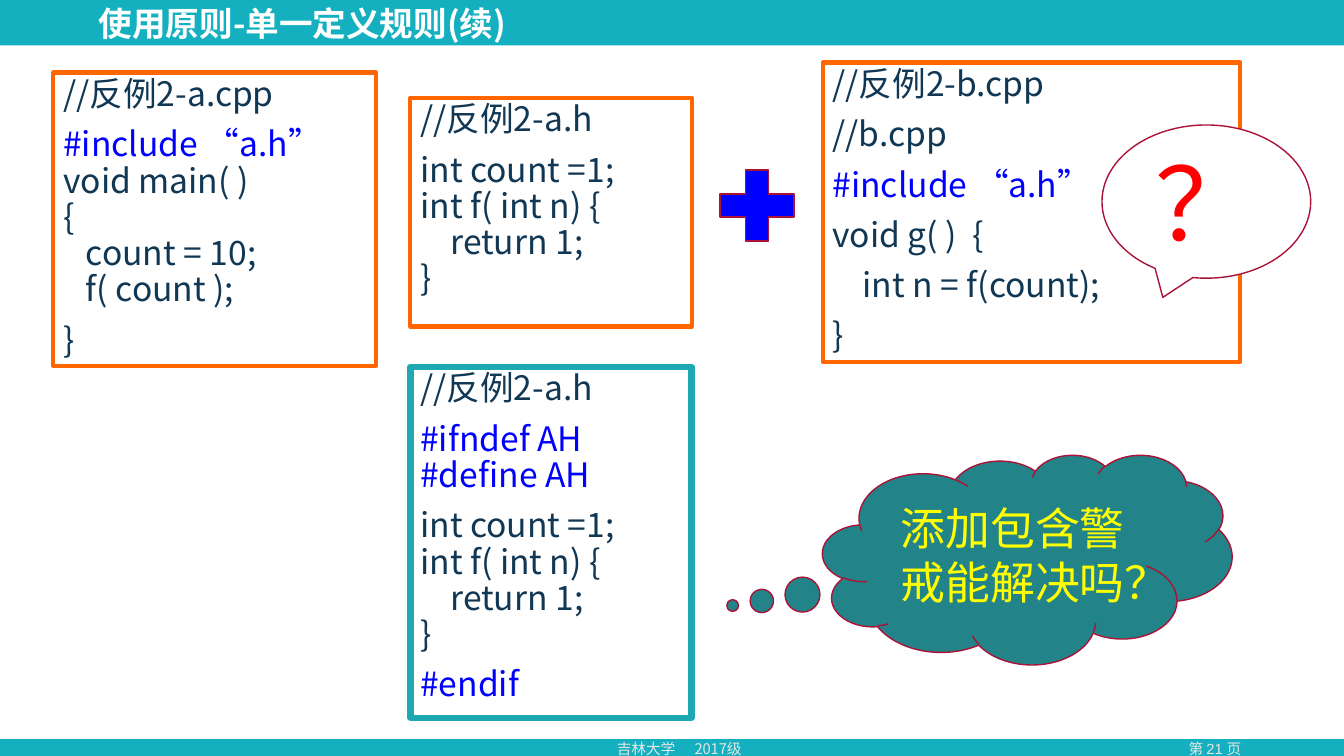
"""Build the slide on the one-definition rule with its counter-example code boxes."""
from lxml.etree import SubElement
from pptx import Presentation
from pptx.dml.color import RGBColor
from pptx.enum.shapes import MSO_SHAPE as Shape
from pptx.enum.text import MSO_ANCHOR as Anchor, PP_ALIGN as Align
from pptx.oxml.ns import qn
from pptx.util import Inches, Pt

TEAL = RGBColor(0x14, 0xB0, 0xC0)
WHITE = RGBColor(0xFF, 0xFF, 0xFF)
PALE = RGBColor(0xE7, 0xE6, 0xE6)
NAVY = RGBColor(0x10, 0x37, 0x54)
BLUE = RGBColor(0x00, 0x00, 0xFF)
ORANGE = RGBColor(0xFF, 0x66, 0x00)
FRAME_TEAL = RGBColor(0x1D, 0xA8, 0xB2)
CLOUD_TEAL = RGBColor(0x22, 0x83, 0x89)
CRIMSON = RGBColor(0xAA, 0x13, 0x37)
RED = RGBColor(0xFF, 0x00, 0x00)
YELLOW = RGBColor(0xFF, 0xFF, 0x00)
CJK_FONT = "Noto Sans CJK SC"

presentation = Presentation()
presentation.slide_width = Inches(13.33)
presentation.slide_height = Inches(7.5)
slide = presentation.slides.add_slide(presentation.slide_layouts[6])


def add_box(kind, place, fill=None, line=None, width=1):
    """Add a preset shape with an optional fill and outline."""
    shape = slide.shapes.add_shape(kind, *map(Inches, place))
    shape.shadow.inherit = False
    if fill is None:
        shape.fill.background()
    else:
        shape.fill.solid()
        shape.fill.fore_color.rgb = fill
    if line is None:
        shape.line.fill.background()
    else:
        shape.line.color.rgb = line
        shape.line.width = Pt(width)
    return shape


def add_text(paragraph, text, size, color, name=CJK_FONT, bold=False):
    """Add a run set in one font for Latin and East Asian text."""
    run = paragraph.add_run()
    run.text = text
    formats = {"size": Pt(size), "name": name, "bold": bold}
    for attribute, value in formats.items():
        setattr(run.font, attribute, value)
    run.font.color.rgb = color
    SubElement(run.font._element, qn("a:ea")).set("typeface", CJK_FONT)


add_box(Shape.RECTANGLE, (0, 0, 13.33, 7.5), TEAL)
add_box(Shape.RECTANGLE, (0, 0.45, 13.33, 6.88), WHITE)

LABELS = [
    ((11.32, 7.29, 1.46, 0.27), "第 21 页", 10.5, PALE, "Arial", False, Align.CENTER),
    ((6.02, 7.29, 1.84, 0.28), "吉林大学\t2017级", 10.5, PALE, CJK_FONT, False, Align.LEFT),
    ((0.88, 0.03, 7.68, 0.39), "使用原则-单一定义规则(续)", 24, WHITE, CJK_FONT, True, Align.LEFT),
]
for place, text, size, color, name, bold, align in LABELS:
    frame = slide.shapes.add_textbox(*map(Inches, place)).text_frame
    frame.word_wrap = True
    frame.vertical_anchor = Anchor.MIDDLE if bold else Anchor.TOP
    paragraph = frame.paragraphs[0]
    paragraph.alignment = align
    if "\t" in text:
        tabs = SubElement(paragraph._p.get_or_add_pPr(), qn("a:tabLst"))
        SubElement(tabs, qn("a:tab"), pos=str(Inches(0.77)), algn="l")
    add_text(paragraph, text, size, color, name, bold)

HEADER_CODE = "int count =1;\nint f( int n) {\n    return 1;\n}"
CODE_BOXES = [
    ((8.16, 0.62, 4.14, 2.97), ORANGE, 3,
     ["//反例2-b.cpp", "//b.cpp", "#include “a.h”", "void g( )  {",
      "    int n = f(count);", "}"]),
    ((0.53, 0.72, 3.2, 2.91), ORANGE, 3,
     ["//反例2-a.cpp",
      "#include “a.h”\nvoid main( )\n{\n   count = 10;\n   f( count );", "}"]),
    ((4.07, 0.97, 2.79, 2.27), ORANGE, 3, ["//反例2-a.h", HEADER_CODE]),
    ((4.07, 3.64, 2.79, 3.48), FRAME_TEAL, 4.5,
     ["//反例2-a.h", "#ifndef AH\n#define AH", HEADER_CODE, "#endif"]),
]
for place, outline, width, blocks in CODE_BOXES:
    frame = add_box(Shape.RECTANGLE, place, None, outline, width).text_frame
    frame.word_wrap = True
    frame.vertical_anchor = Anchor.TOP
    for block_index, block in enumerate(blocks):
        paragraph = frame.add_paragraph() if block_index else frame.paragraphs[0]
        formats = {"alignment": Align.LEFT, "line_spacing": 0.9,
                   "space_before": Pt(10 if block_index else 0)}
        for attribute, value in formats.items():
            setattr(paragraph, attribute, value)
        for line_index, code in enumerate(block.split("\n")):
            if line_index:
                paragraph.add_line_break()
            add_text(paragraph, code, 24, BLUE if code.startswith("#") else NAVY)

add_box(Shape.MATH_PLUS, (7.01, 1.56, 1, 0.96), BLUE, CRIMSON)

question = add_box(Shape.OVAL_CALLOUT, (10.93, 1.24, 2.07, 1.52), WHITE, CRIMSON)
cloud = add_box(Shape.CLOUD_CALLOUT, (8.16, 4.51, 4.06, 2.08), CLOUD_TEAL, CRIMSON)
cloud.adjustments[0] = -0.72
cloud.adjustments[1] = 0.22
CALLOUTS = [
    (question, "？", 72, RED),
    (cloud, "添加包含警戒能解决吗？", 32, YELLOW),
]
for callout, text, size, color in CALLOUTS:
    frame = callout.text_frame
    frame.word_wrap = True
    frame.vertical_anchor = Anchor.MIDDLE
    frame.paragraphs[0].alignment = Align.CENTER
    add_text(frame.paragraphs[0], text, size, color)

presentation.save("out.pptx")
